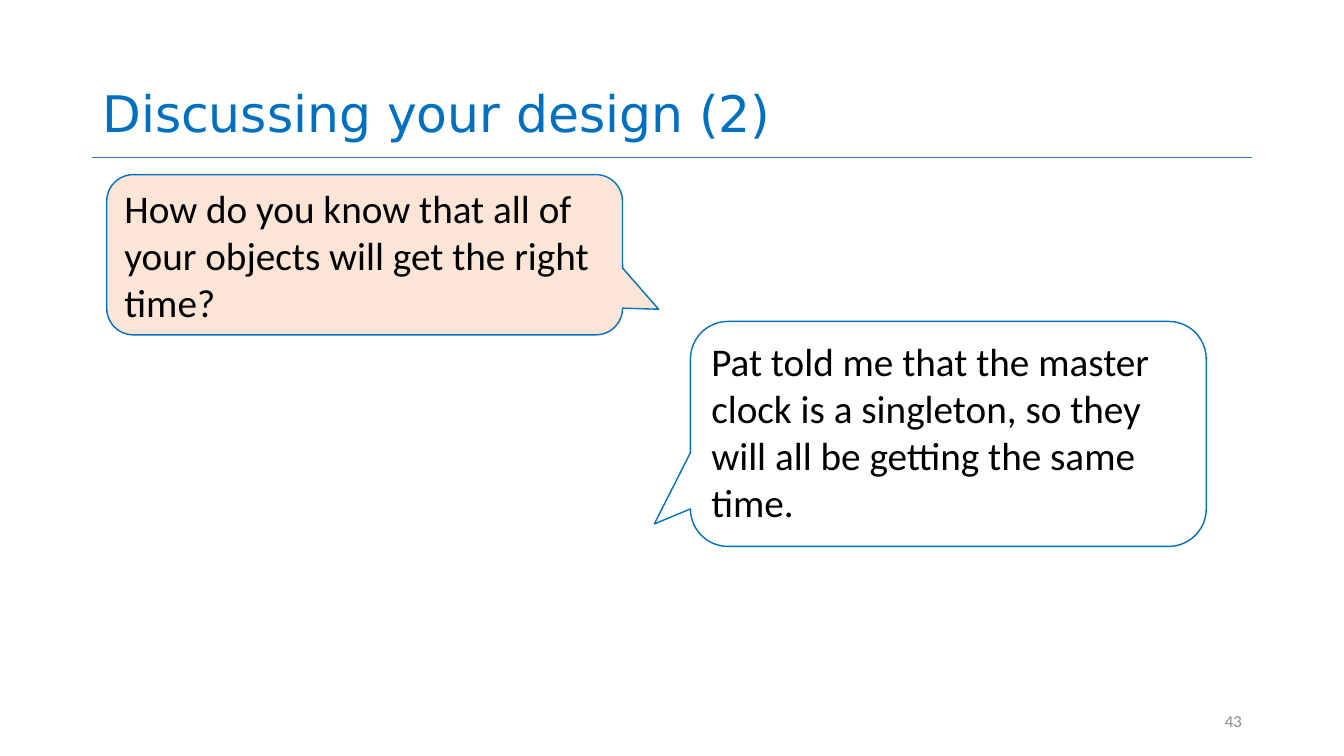
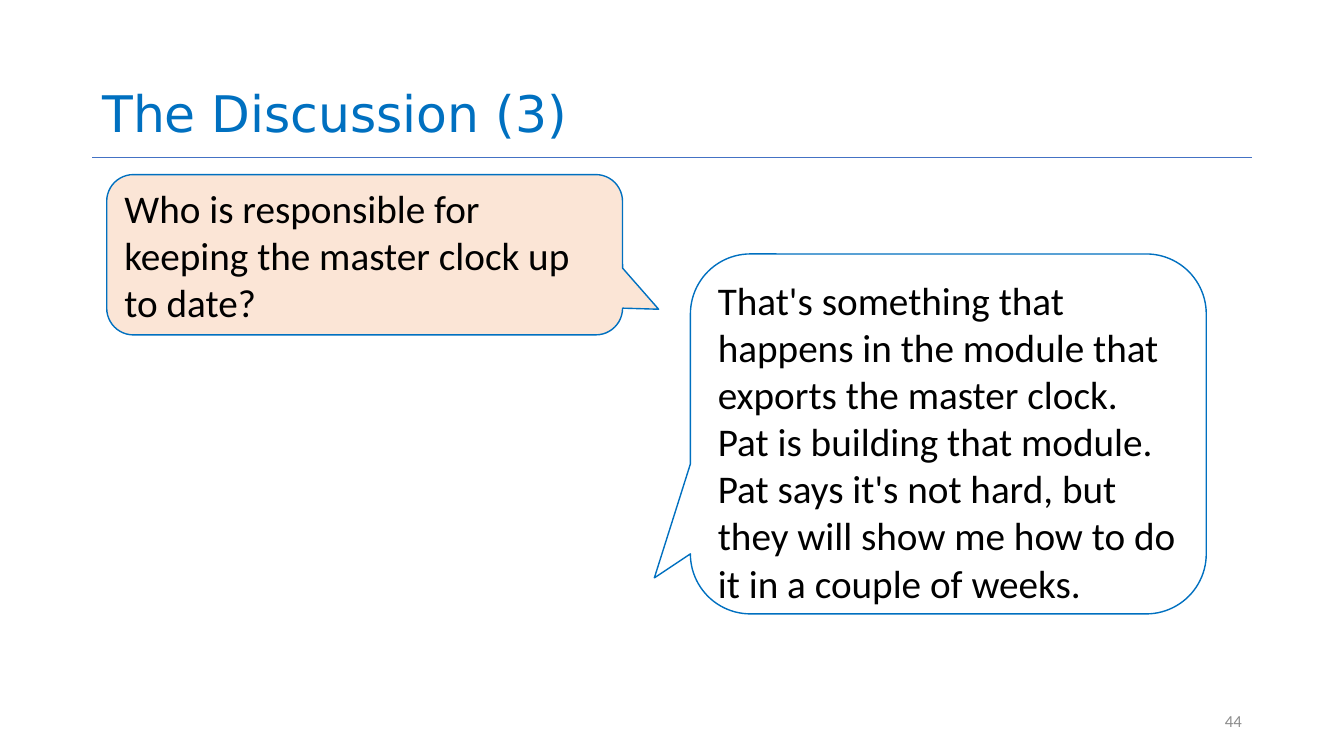
from lxml import etree
from pptx import Presentation
from pptx.dml.color import RGBColor
from pptx.enum.shapes import MSO_CONNECTOR, MSO_SHAPE
from pptx.enum.text import MSO_ANCHOR, PP_ALIGN
from pptx.oxml.ns import qn
from pptx.util import Cm, Pt

CALLOUT = MSO_SHAPE.ROUNDED_RECTANGULAR_CALLOUT
STRAIGHT = MSO_CONNECTOR.STRAIGHT
TOP, MIDDLE, BOTTOM = MSO_ANCHOR.TOP, MSO_ANCHOR.MIDDLE, MSO_ANCHOR.BOTTOM
LEFT, RIGHT = PP_ALIGN.LEFT, PP_ALIGN.RIGHT

MARGIN, CONTENT_WIDTH = 2.33, 29.21
RULE_TOP = 3.96
BUBBLE_WIDTH = 13

DISCUSSIONS = [
    {
        "number": 43,
        "title": "Discussing your design (2)",
        "question": "How do you know that all of your objects will get the right time?",
        "answer": ["Pat told me that the master clock is a singleton, "
                   "so they will all be getting the same time."],
        "answer_top": 8.1,
        "answer_height": 5.67,
    },
    {
        "number": 44,
        "title": "The Discussion (3)",
        "question": "Who is responsible for keeping the master clock up to date?",
        "answer": ["That's something that happens in the module that exports the master clock.",
                   "Pat is building that module.",
                   "Pat says it's not hard, but they will show me how to do it "
                   "in a couple of weeks."],
        "answer_top": 6.4,
        "answer_height": 9.07,
    },
]


def color(value):
    return RGBColor.from_string(value)


class Deck:
    BLUE = "0070C0"
    RULE = "4472C4"
    TITLE = {"name": "DejaVu Sans", "size": Pt(36)}
    SPEECH = {"name": "Calibri", "size": Pt(28)}
    NUMBER = {"name": "Calibri", "size": Pt(12)}

    def __init__(self):
        self.presentation = Presentation()
        self.presentation.slide_width = Cm(33.87)
        self.presentation.slide_height = Cm(19.05)
        self.slide = None

    def new_slide(self, title, number):
        layout = self.presentation.slide_layouts[6]
        self.slide = self.presentation.slides.add_slide(layout)
        self.rule()
        self.label(number, (23.93, 17.65, 7.62, 1.02), self.NUMBER, "8C8C8C", MIDDLE, RIGHT)
        self.label(title, (MARGIN, 0.05, CONTENT_WIDTH, 3.68), self.TITLE, self.BLUE,
                   BOTTOM, LEFT, 0.9)

    def rule(self):
        line = self.slide.shapes.add_connector(
            STRAIGHT, Cm(MARGIN), Cm(RULE_TOP), Cm(MARGIN + CONTENT_WIDTH), Cm(RULE_TOP))
        line.line.color.rgb = color(self.RULE)
        line.line.width = Pt(0.5)
        etree.SubElement(line.element.spPr, qn("a:effectLst"))

    def set_text(self, frame, lines, style, ink, anchor, align=LEFT, spacing=None):
        for name, value in {"word_wrap": True, "vertical_anchor": anchor}.items():
            setattr(frame, name, value)
        frame.text = "\n".join(lines)
        for paragraph in frame.paragraphs:
            for name, value in {"alignment": align, "line_spacing": spacing}.items():
                setattr(paragraph, name, value)
            font = paragraph.runs[0].font
            for name, value in style.items():
                setattr(font, name, value)
            font.color.rgb = color(ink)

    def label(self, text, box, style, ink, anchor, align, spacing=None):
        label = self.slide.shapes.add_textbox(*map(Cm, box))
        self.set_text(label.text_frame, [str(text)], style, ink, anchor, align, spacing)

    def bubble(self, lines, box, tail, fill, anchor):
        bubble = self.slide.shapes.add_shape(CALLOUT, *map(Cm, box))
        bubble.shadow.inherit = False
        for index, value in enumerate(tail):
            bubble.adjustments[index] = value
        bubble.fill.solid()
        bubble.fill.fore_color.rgb = color(fill)
        bubble.line.color.rgb = color(self.BLUE)
        bubble.line.width = Pt(1)
        self.set_text(bubble.text_frame, lines, self.SPEECH, "000000", anchor)

    def question(self, text):
        self.bubble([text], (2.69, 4.4, BUBBLE_WIDTH, 4.04), (0.57, 0.34), "FBE5D6", MIDDLE)

    def answer(self, lines, top, height):
        self.bubble(lines, (17.4, top, BUBBLE_WIDTH, height), (-0.57, 0.4), "FFFFFF", TOP)


def main():
    deck = Deck()
    for talk in DISCUSSIONS:
        deck.new_slide(talk["title"], talk["number"])
        deck.answer(talk["answer"], talk["answer_top"], talk["answer_height"])
        deck.question(talk["question"])
    deck.presentation.save("out.pptx")


if __name__ == "__main__":
    main()
